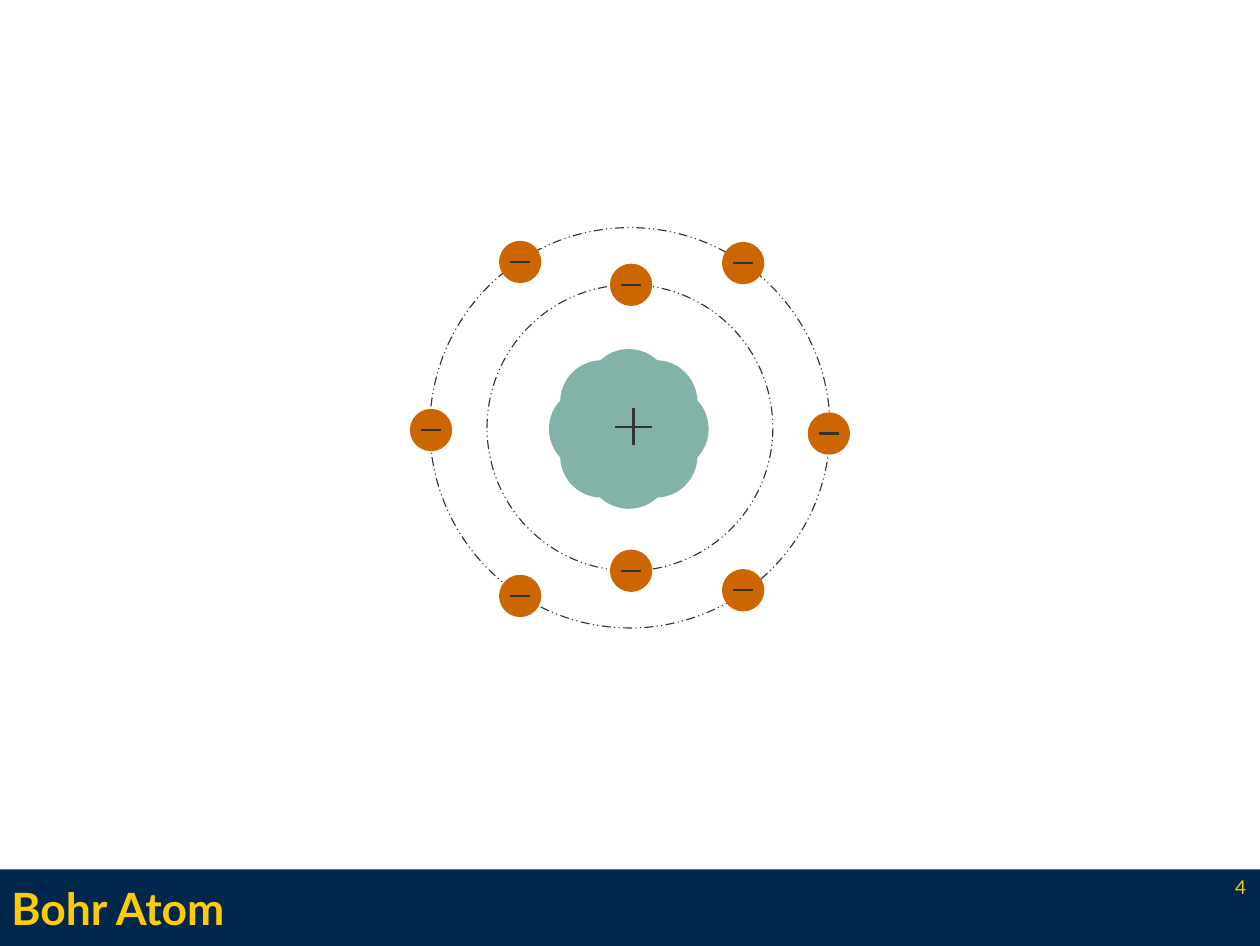
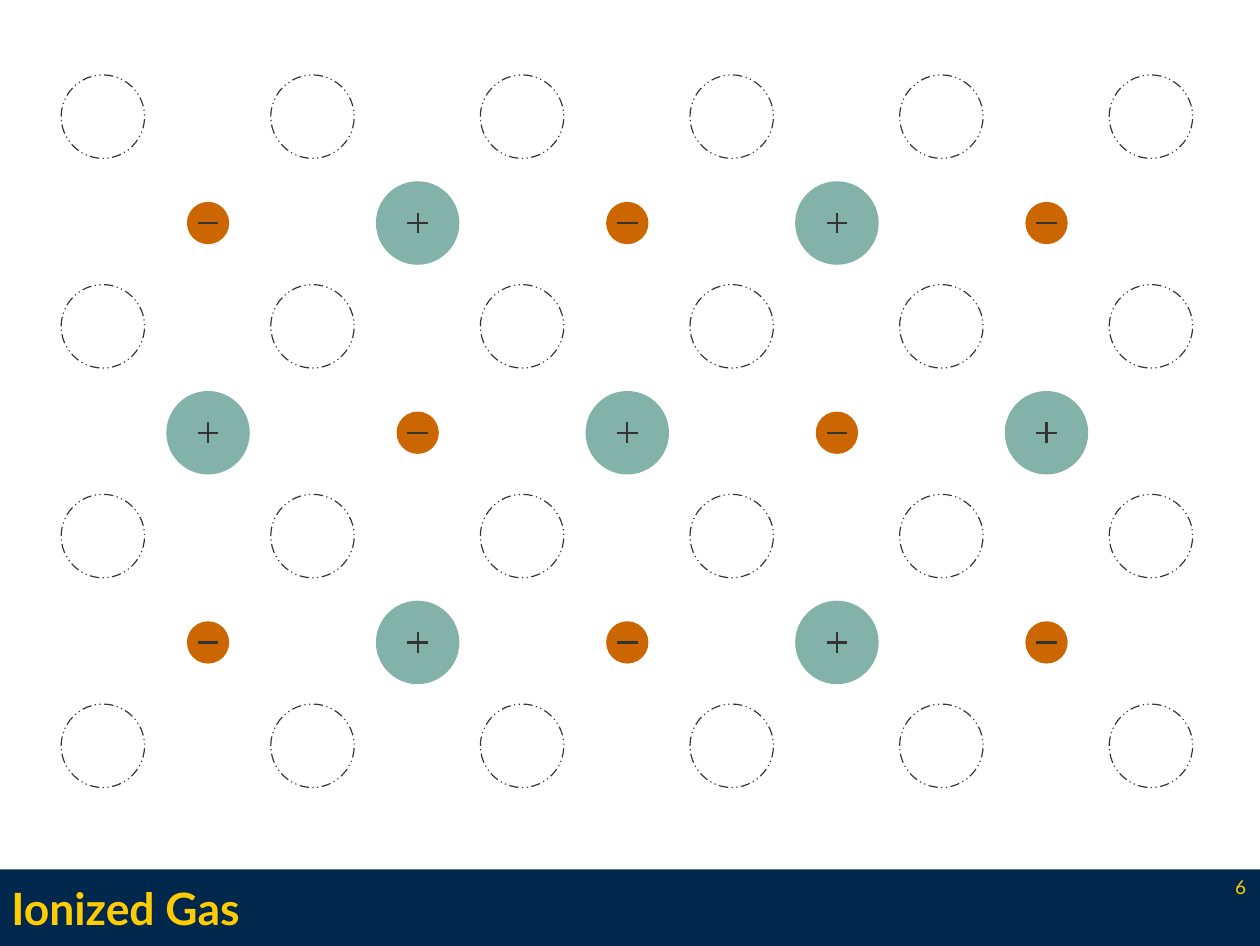
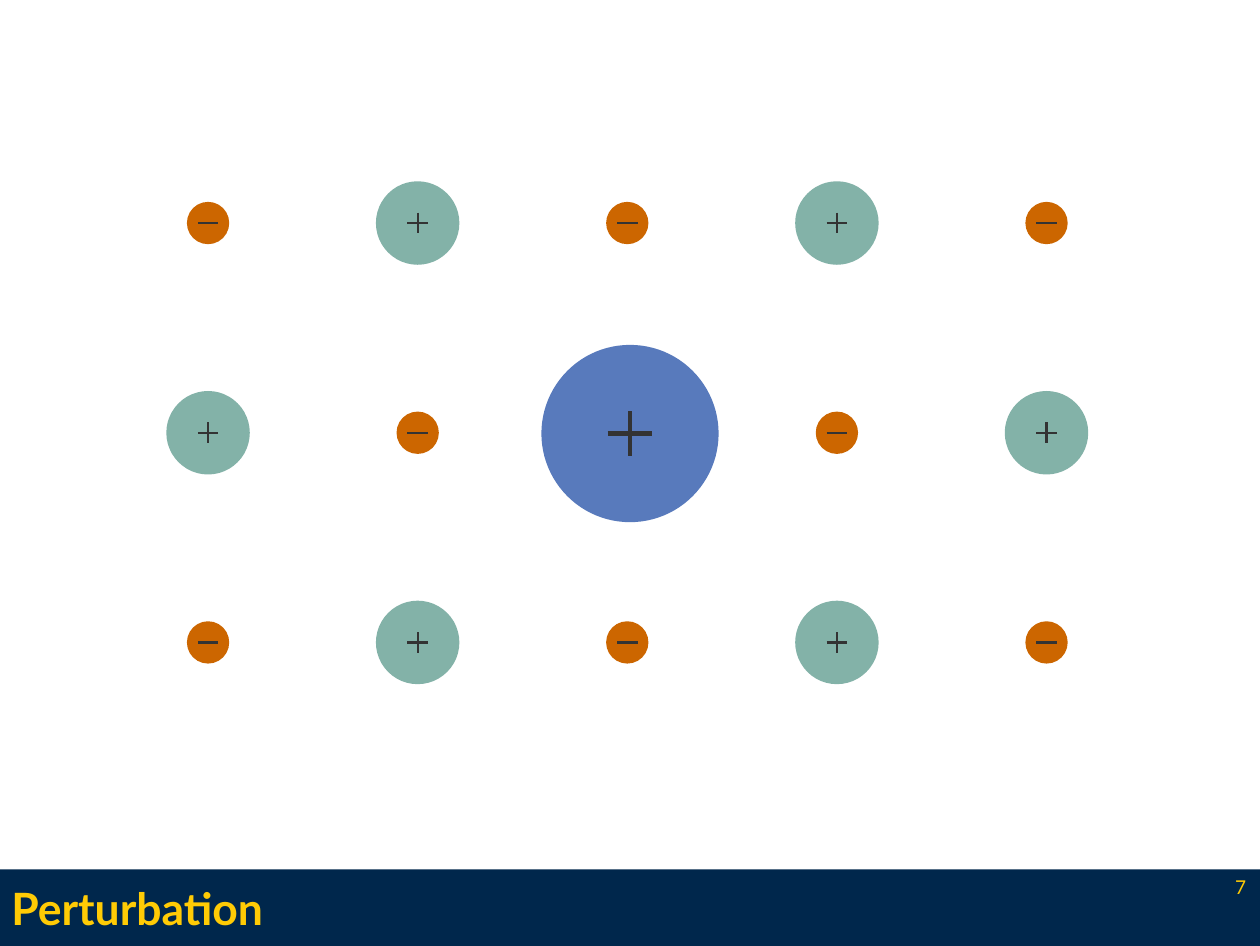
from dataclasses import dataclass
from itertools import product
from math import cos, pi, sin

from lxml.etree import SubElement
from pptx import Presentation
from pptx.dml.color import RGBColor
from pptx.enum.dml import MSO_LINE as Dash
from pptx.enum.shapes import MSO_CONNECTOR as Link, MSO_SHAPE as Form
from pptx.enum.text import MSO_ANCHOR as Anchor, MSO_AUTO_SIZE as Fit, PP_ALIGN as Align
from pptx.oxml.ns import qn
from pptx.shapes.autoshape import Shape
from pptx.shapes.shapetree import GroupShapes, SlideShapes
from pptx.slide import Slide, SlideLayout
from pptx.text.text import TextFrame
from pptx.util import Inches, Pt

NAVY, GOLD, INK = "00274C", "FFCB05", "333333"
TEAL, RUST, BLUE = "83B2A8", "CC6600", "587ABC"
FONT = "Lato"
WIDTH, HEIGHT = 11.02, 8.27
TOP, BAND = 7.6, 0.67
ION, MARK, STROKE = 0.73, 0.18, 1.45
STEP = 5.5 / 3

Tree = SlideShapes | GroupShapes


@dataclass(frozen=True)
class Charge:
    size: float
    fill: str
    plus: bool
    mark: float = MARK
    stroke: float = STROKE


@dataclass(frozen=True)
class Orbit:
    x: float
    y: float
    size: float
    stroke: float


CATION = Charge(ION, TEAL, True)
ELECTRON = Charge(0.37, RUST, False)
PROBE = Charge(1.55, BLUE, True, 0.39, 2.89)


def color(code: str) -> RGBColor:
    return RGBColor.from_string(code)


def fill(shape: Shape, code: str) -> None:
    shape.shadow.inherit = False
    shape.fill.solid()
    shape.fill.fore_color.rgb = color(code)
    shape.line.fill.background()


def circle(tree: Tree, x: float, y: float, size: float) -> Shape:
    return tree.add_shape(Form.OVAL, Inches(x - size / 2), Inches(y - size / 2),
                          Inches(size), Inches(size))


def disc(tree: Tree, x: float, y: float, size: float, code: str) -> None:
    fill(circle(tree, x, y, size), code)


def ring(tree: Tree, orbit: Orbit) -> None:
    shape = circle(tree, orbit.x, orbit.y, orbit.size)
    shape.shadow.inherit = False
    shape.fill.background()
    shape.line.color.rgb = color(INK)
    shape.line.width = Pt(orbit.stroke)
    shape.line.dash_style = Dash.DASH_DOT_DOT


def stroke(tree: Tree, x: float, y: float, dx: float, dy: float, width: float) -> None:
    line = tree.add_connector(Link.STRAIGHT, Inches(x - dx), Inches(y - dy),
                              Inches(x + dx), Inches(y + dy))
    line.line.color.rgb = color(INK)
    line.line.width = Pt(width)
    SubElement(line.element.spPr, qn("a:effectLst"))


def sign(tree: Tree, x: float, y: float, plus: bool, size: float, width: float) -> None:
    stroke(tree, x, y, size / 2, 0, width)
    if plus:
        stroke(tree, x, y, 0, size / 2, width)


def charge(slide: Slide, x: float, y: float, kind: Charge) -> None:
    tree = slide.shapes.add_group_shape().shapes
    disc(tree, x, y, kind.size, kind.fill)
    sign(tree, x, y, kind.plus, kind.mark, kind.stroke)


def write(frame: TextFrame, text: str, size: float, bold: bool,
          align: Align, anchor: Anchor) -> None:
    frame.margin_left = frame.margin_right = frame.margin_top = frame.margin_bottom = 0
    frame.word_wrap = True
    frame.auto_size = Fit.NONE
    frame.vertical_anchor = anchor
    frame.text = text
    para = frame.paragraphs[0]
    para.alignment = align
    font = para.font
    font.name, font.size, font.bold = FONT, Pt(size), bold
    font.color.rgb = color(GOLD)


def base(slide: Slide, layout: SlideLayout) -> None:
    band = slide.shapes.add_shape(Form.RECTANGLE, 0, Inches(TOP),
                                  Inches(WIDTH), Inches(BAND))
    fill(band, NAVY)
    layout.shapes.element.insert(2, band.element)


def label(slide: Slide, name: str, number: int) -> None:
    title = slide.shapes.title
    title.left, title.top = Inches(0.1), Inches(TOP)
    title.width, title.height = Inches(9.1), Inches(BAND)
    write(title.text_frame, name, 28, True, Align.LEFT, Anchor.MIDDLE)
    box = slide.shapes.add_textbox(Inches(9.58), Inches(7.65), Inches(1.32), Inches(0.27))
    write(box.text_frame, str(number), 12, False, Align.RIGHT, Anchor.TOP)


def atom(slide: Slide) -> None:
    x, y = 5.51, 3.74
    for size in (2.5, 3.5):
        ring(slide.shapes, Orbit(x, y, size, 0.71))
    spots = [(5.52, 2.49), (5.52, 4.99), (4.55, 2.29), (6.5, 2.3),
             (7.25, 3.79), (3.77, 3.76), (4.55, 5.21), (6.5, 5.16)]
    for spot in spots:
        charge(slide, *spot, ELECTRON)
    core = slide.shapes.add_group_shape().shapes
    for turn in range(8):
        angle = turn * pi / 4
        disc(core, 5.5 + cos(angle) / 3, 3.75 + sin(angle) / 3, ION, TEAL)
    sign(slide.shapes.add_group_shape().shapes, 5.54, 3.73, True, 0.32, STROKE)


def lattice(slide: Slide, probe: bool) -> None:
    for col, row in product(range(5), range(3)):
        if probe and (col, row) == (2, 1):
            continue
        kind = CATION if (col + row) % 2 else ELECTRON
        charge(slide, 1.82 + col * STEP, 1.95 + row * STEP, kind)


def gas(slide: Slide) -> None:
    lattice(slide, False)
    for col, row in product(range(6), range(4)):
        ring(slide.shapes, Orbit(0.9 + col * STEP, 1.02 + row * STEP, ION, 0))


def probed(slide: Slide) -> None:
    lattice(slide, True)
    charge(slide, 5.51, 3.79, PROBE)


def main() -> None:
    deck = Presentation()
    deck.slide_width, deck.slide_height = Inches(WIDTH), Inches(HEIGHT)
    layout = deck.slide_layouts[5]
    pages = [("Bohr Atom", 4, atom), ("Ionized Gas", 6, gas), ("Perturbation", 7, probed)]
    for index, (name, number, draw) in enumerate(pages):
        slide = deck.slides.add_slide(layout)
        if index == 0:
            base(slide, layout)
        draw(slide)
        label(slide, name, number)
    deck.save("out.pptx")


if __name__ == "__main__":
    main()
